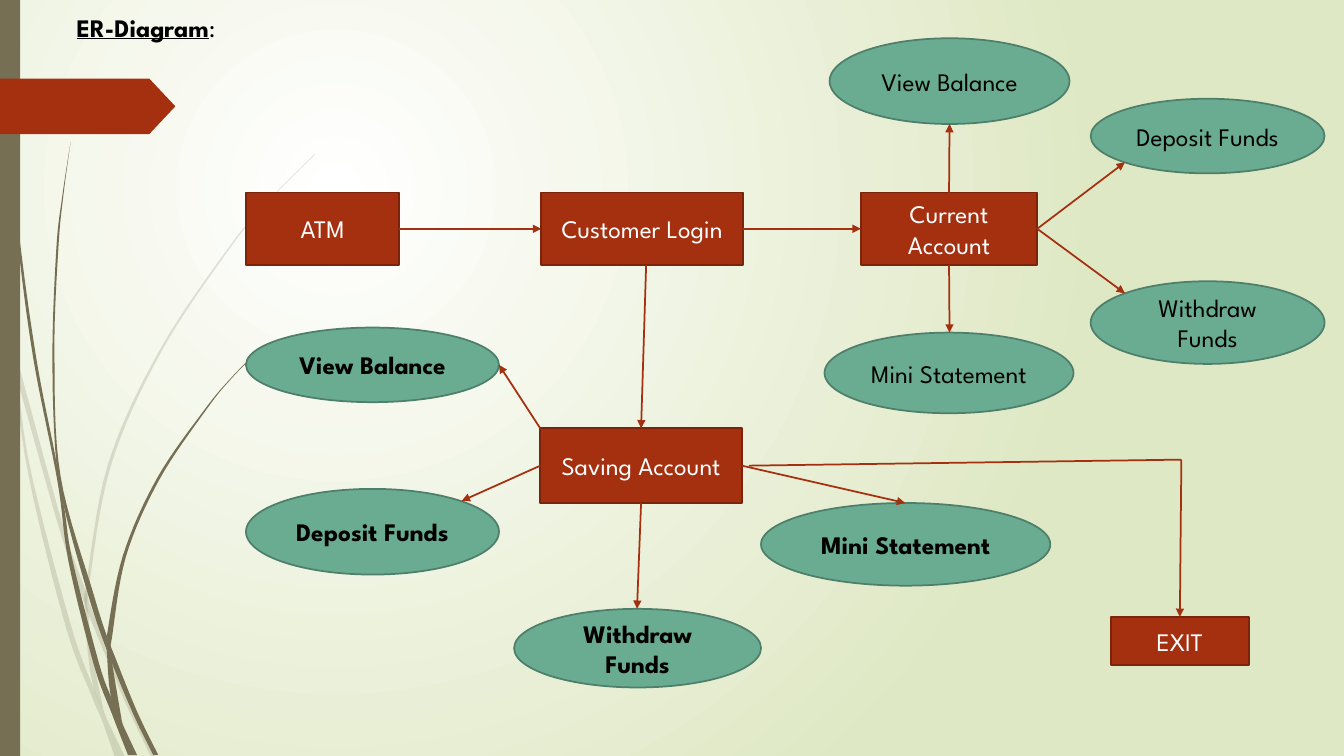
from enum import IntEnum
from itertools import chain

from lxml.etree import SubElement
from pptx import Presentation
from pptx.dml.color import RGBColor
from pptx.enum.shapes import MSO_CONNECTOR, MSO_SHAPE
from pptx.enum.text import MSO_ANCHOR, MSO_AUTO_SIZE, PP_ALIGN
from pptx.oxml.ns import qn
from pptx.util import Inches, Pt

CELL = Inches(0.1)
COLUMNS, ROWS = 133.33, 75
RUST, RUST_EDGE = "A53010", "7A240C"
GREEN, GREEN_EDGE = "6AAC91", "4E7F6B"
OLIVE = "766F54"
BLACK, WHITE, PALE_GREEN = "000000", "FFFFFF", "DFE8C4"

LIGHT_STEMS = [
    ([(0, 29.9), (1, 34.4), (2.8, 47), (6.5, 62.1), (9.2, 69.3), (10.1, 71.4), (11.4, 75.1)],
     [(12.4, 75.1), (10.5, 71.1), (9.3, 68.3), (7, 61.9), (3.1, 46.9), (1.7, 37.6),
      (0.9, 32.2), (0, 28.2)]),
    ([(1.4, 34.5), (6.2, 52), (8.5, 58.6), (9.2, 60.7), (12.7, 69.2), (15.5, 75.1)],
     [(15, 75.1), (12.3, 69.4), (8.8, 61), (8.4, 59.9), (5.8, 52.2), (1.7, 37.6)]),
    ([(31.2, 15.3), (26.8, 19.7), (22.8, 24.4), (15.8, 34.8), (10.7, 46.1), (8.5, 58.4),
      (8.4, 59.9), (8.7, 64.6), (9.3, 68.3), (10.5, 71.1)],
     [(10.3, 70.6), (9.1, 64.6), (8.8, 61), (8.8, 58.4), (11, 46.2), (16, 34.9),
      (22.9, 24.5), (26.8, 19.8), (31.2, 15.4)]),
]
DARK_STEMS = [
    ([(0.3, 0), (0.7, 11), (1.7, 23.3), (3.3, 35.5), (5.7, 47.7), (6.8, 55.7), (9.3, 65.9),
      (11.1, 70.8), (12.7, 74.9)],
     [(13.6, 74.9), (12.2, 71.9), (11, 69.1), (9.8, 65.7), (7.2, 55.6), (6.4, 50.5),
      (5.5, 45.3), (3.6, 35.5), (1.9, 23.2), (0.8, 10.9), (0.4, 0)]),
    ([(7, 14.1), (6.2, 19.3), (5.6, 24.5), (5.2, 34.9), (5.5, 44.9), (6.4, 50.5),
      (8.8, 59.2), (10.6, 64.5), (13.2, 70.8), (15.2, 74.9)],
     [(15.7, 74.9), (13.6, 70.6), (11.3, 64.9), (10.6, 63.1), (9.3, 59), (6, 47.2),
      (5.4, 34.9), (5.8, 24.5), (6.3, 19.3), (7, 14.1)]),
    ([(26, 34.4), (23.1, 37.3), (20.4, 40.5), (15.6, 47.4), (12.2, 55.1), (10.6, 63.1),
      (10.6, 64.5), (11, 69.1), (12.2, 71.9)],
     [(12.1, 71.6), (11.1, 65.6), (11, 64.1), (11.1, 63.3), (12.5, 55.2), (15.8, 47.6),
      (20.5, 40.6), (23.1, 37.4), (26.1, 34.4)]),
]


class Side(IntEnum):
    TOP = 0
    LEFT = 1
    BOTTOM = 2
    RIGHT = 3


def colour(value):
    return RGBColor.from_string(value)


def cells(*counts):
    return [round(count * CELL) for count in counts]


def smooth_edge(points, steps=8):
    padded = [points[0], *points, points[-1]]
    for before, start, end, after in zip(padded, padded[1:], padded[2:], padded[3:]):
        for step in range(steps):
            t = step / steps
            yield tuple(
                b + (c - a) * t / 2 + (2 * a - 5 * b + 4 * c - d) * t ** 2 / 2
                + (3 * b - a - 3 * c + d) * t ** 3 / 2
                for a, b, c, d in zip(before, start, end, after))
    yield points[-1]


class Diagram:
    font = "League Spartan"
    size = Pt(18)
    stroke = Pt(1.25)

    def __init__(self, deck):
        self.slide = deck.slides.add_slide(deck.slide_layouts[5])
        self.shapes = self.slide.shapes

    def backdrop(self, centre, rim):
        fill = self.slide.background.fill
        fill.gradient()
        for stop, value in zip(fill.gradient_stops, (centre, rim)):
            stop.color.rgb = colour(value)
        gradient = self.slide.element.find(".//" + qn("a:gradFill"))
        gradient.remove(gradient.find(qn("a:lin")))
        spread = SubElement(gradient, qn("a:path"), path="circle")
        SubElement(spread, qn("a:fillToRect"), l="50000", t="50000", r="100000", b="100000")

    def format_text(self, paragraph, ink, align, bold=None):
        paragraph.alignment = align
        font = paragraph.font
        font.name, font.size, font.bold = self.font, self.size, bold
        font.color.rgb = colour(ink)

    def title(self, heading, suffix, box):
        title = self.shapes.title
        title.left, title.top, title.width, title.height = cells(*box)
        frame = title.text_frame
        frame.word_wrap = True
        frame.auto_size = MSO_AUTO_SIZE.NONE
        frame.vertical_anchor = MSO_ANCHOR.TOP
        paragraph = frame.paragraphs[0]
        heading_run = paragraph.add_run()
        heading_run.text = heading
        heading_run.font.bold = heading_run.font.underline = True
        paragraph.add_run().text = suffix
        self.format_text(paragraph, BLACK, PP_ALIGN.LEFT)

    def paint(self, shape, fill, edge=None):
        shape.shadow.inherit = False
        shape.fill.solid()
        shape.fill.fore_color.rgb = colour(fill)
        if edge:
            shape.line.color.rgb = colour(edge)
            shape.line.width = self.stroke
        else:
            shape.line.fill.background()
        return shape

    def block(self, preset, box, fill, edge=None):
        return self.paint(self.shapes.add_shape(preset, *cells(*box)), fill, edge)

    def stem(self, edges, alpha=None):
        outline = [cells(*point) for point in chain(*map(smooth_edge, edges))]
        builder = self.shapes.build_freeform(*outline[0])
        builder.add_line_segments(outline[1:], close=True)
        stem = self.paint(builder.convert_to_shape(), OLIVE)
        if alpha:
            ink = stem.element.spPr.find(qn("a:solidFill")).find(qn("a:srgbClr"))
            SubElement(ink, qn("a:alpha"), val=str(alpha * 1000))

    def label(self, shape, text, ink, bold=None):
        frame = shape.text_frame
        frame.word_wrap = True
        frame.vertical_anchor = MSO_ANCHOR.MIDDLE
        frame.text = text
        self.format_text(frame.paragraphs[0], ink, PP_ALIGN.CENTER, bold)
        return shape

    def entity(self, text, *box):
        return self.label(self.block(MSO_SHAPE.RECTANGLE, box, RUST, RUST_EDGE), text, WHITE)

    def action(self, text, *box, bold=False):
        return self.label(self.block(MSO_SHAPE.OVAL, box, GREEN, GREEN_EDGE), text, BLACK, bold)

    def link(self, start, end, arrow=True):
        joined = [isinstance(place[1], Side) for place in (start, end)]
        points = [(0, 0) if join else place for join, place in zip(joined, (start, end))]
        link = self.shapes.add_connector(MSO_CONNECTOR.STRAIGHT, *cells(*points[0], *points[1]))
        if joined[0]:
            link.begin_connect(*start)
        if joined[1]:
            link.end_connect(*end)
        link.line.color.rgb = colour(RUST)
        link.line.width = self.stroke
        properties = link.element.spPr
        if arrow:
            SubElement(properties.find(qn("a:ln")), qn("a:tailEnd"), type="triangle")
        SubElement(properties, qn("a:effectLst"))


def main():
    deck = Presentation()
    deck.slide_width, deck.slide_height = cells(COLUMNS, ROWS)
    diagram = Diagram(deck)
    diagram.backdrop(WHITE, PALE_GREEN)
    for edges in LIGHT_STEMS:
        diagram.stem(edges, alpha=20)
    for edges in DARK_STEMS:
        diagram.stem(edges)
    diagram.block(MSO_SHAPE.RECTANGLE, (0, 0, 2, ROWS), OLIVE)
    ribbon = diagram.block(MSO_SHAPE.PENTAGON, (0, 7.8, 17.4, 5.5), RUST)
    ribbon.adjustments[0] = 0.47
    diagram.title("ER-Diagram", ":", (6.6, 0.7, 29.8, 4))

    atm = diagram.entity("ATM", 24.4, 19.1, 15.2, 7.2)
    login = diagram.entity("Customer Login", 53.7, 19.1, 20, 7.2)
    current = diagram.entity("Current Account", 85.4, 19.1, 17.5, 7.2)
    saving = diagram.entity("Saving Account", 53.6, 42.5, 20, 7.4)
    leave = diagram.entity("EXIT", 110.2, 61.2, 13.7, 4.8)

    diagram.action("View Balance", 82.3, 3.8, 23.8, 8.5)
    diagram.action("Deposit Funds", 108.2, 9.8, 23.2, 7.4)
    diagram.action("Mini Statement", 81.8, 33, 24.7, 8)
    diagram.action("Withdraw Funds", 108.2, 27.9, 23.2, 8.2)
    diagram.action("View Balance", 24.4, 32.5, 25.1, 7.4, bold=True)
    diagram.action("Deposit Funds", 24.4, 48.5, 25.1, 8.5, bold=True)
    diagram.action("Withdraw Funds", 51, 60.4, 24.5, 7.8, bold=True)
    diagram.action("Mini Statement", 75.5, 49.9, 28.7, 8.2, bold=True)

    diagram.link((atm, Side.RIGHT), (login, Side.LEFT))
    diagram.link((login, Side.RIGHT), (current, Side.LEFT))
    diagram.link((64.1, 26.3), (saving, Side.TOP))
    diagram.link((current, Side.TOP), (94.2, 12.3))
    diagram.link((current, Side.RIGHT), (111.6, 16.1))
    diagram.link((current, Side.RIGHT), (111.6, 29.1))
    diagram.link((current, Side.BOTTOM), (94.2, 33))
    diagram.link((53.6, 42.5), (49.5, 36.2))
    diagram.link((saving, Side.LEFT), (45.8, 49.7))
    diagram.link((saving, Side.BOTTOM), (63.2, 60.4))
    diagram.link((saving, Side.RIGHT), (89.8, 49.9))
    diagram.link((74.3, 46.2), (117.2, 45.6), arrow=False)
    diagram.link((117.2, 45.6), (leave, Side.TOP))
    deck.save("out.pptx")


if __name__ == "__main__":
    main()
